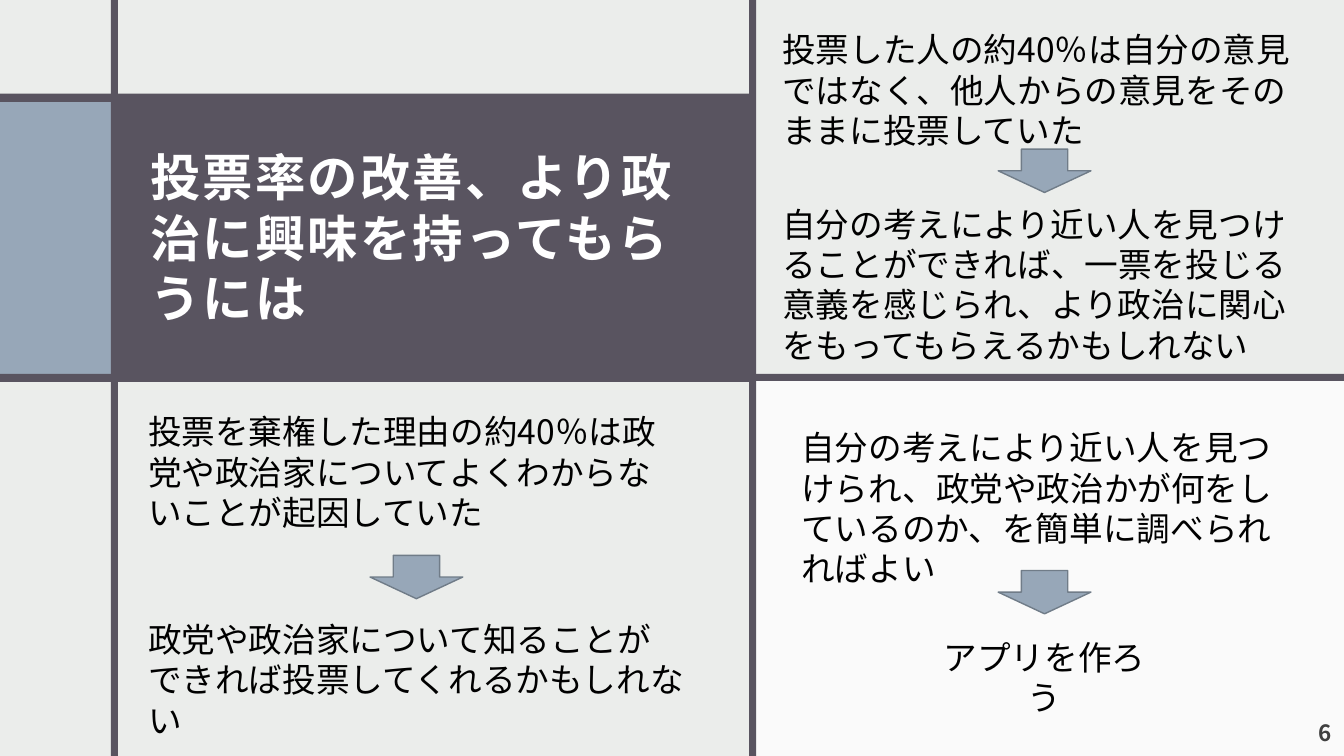
from pptx import Presentation
from pptx.dml.color import RGBColor
from pptx.enum.shapes import MSO_SHAPE as Shape
from pptx.enum.text import MSO_ANCHOR as Anchor, PP_ALIGN as Align
from pptx.util import Inches, Pt
from lxml.etree import SubElement
from pptx.oxml.ns import qn

FONT = "Noto Sans CJK JP"
WIDTH, HEIGHT = 13.33, 7.5
PLUM, STEEL, PALE, EDGE = "595460", "97A7B8", "FAFAFA", "707C88"
BAR = 0.07


def color(value):
    """Turn a hex string into a colour."""
    return RGBColor.from_string(value)


def add_block(page, left, top, width, height, fill, kind=Shape.RECTANGLE, line=None):
    """Add a filled shape, outlined when a line colour is given."""
    block = page.shapes.add_shape(
        kind, Inches(left), Inches(top), Inches(width), Inches(height))
    block.shadow.inherit = False
    block.fill.solid()
    block.fill.fore_color.rgb = color(fill)
    if line:
        block.line.color.rgb = color(line)
        block.line.width = Pt(1)
    else:
        block.line.fill.background()


def add_arrow(page, left, top):
    """Add a small arrow that points down."""
    add_block(page, left, top, 0.92, 0.43, STEEL, Shape.DOWN_ARROW, EDGE)


def add_text(page, text, left, top, width, height, size=24, fill="000000",
             bold=False, align=Align.LEFT, anchor=Anchor.TOP, inset=None, tracking=0):
    """Add a wrapped text box with one formatted paragraph."""
    box = page.shapes.add_textbox(
        Inches(left), Inches(top), Inches(width), Inches(height))
    frame = box.text_frame
    frame.word_wrap = True
    frame.vertical_anchor = anchor
    if inset:
        frame.margin_left = frame.margin_right = frame.margin_top = Inches(inset)
        frame.margin_bottom = Inches(0.1)
    para = frame.paragraphs[0]
    para.alignment = align
    para.line_spacing = Pt(size * 1.2)
    span = para.add_run()
    span.text = text
    font = span.font
    font.size, font.bold, font.name = Pt(size), bold, FONT
    font.color.rgb = color(fill)
    properties = span._r.get_or_add_rPr()
    SubElement(properties, qn("a:ea")).set("typeface", FONT)
    if tracking:
        properties.set("spc", str(int(tracking * 100)))


def add_panels(page):
    """Add the coloured panels and the bars between them."""
    add_block(page, 0, 0.95, 7.47, 2.84, PLUM)
    add_block(page, 0, 1.01, 1.17, 2.7, STEEL)
    add_block(page, 0, 0.93, 7.47, 0.08, PLUM)
    add_block(page, 7.5, 3.76, 5.83, 3.74, PALE)
    add_block(page, 0, 3.71, WIDTH, BAR, PLUM)
    for left in (1.1, 7.43):
        add_block(page, left, 0, BAR, HEIGHT, PLUM)


def main():
    """Build the slide and save it."""
    deck = Presentation()
    deck.slide_width, deck.slide_height = Inches(WIDTH), Inches(HEIGHT)
    page = deck.slides.add_slide(deck.slide_layouts[6])
    page.background.fill.solid()
    page.background.fill.fore_color.rgb = color("EBEDEB")
    add_panels(page)

    add_text(page, "投票率の改善、より政治に興味を持ってもらうには", 1.37, 1.21, 5.86, 2.26,
             size=36, fill="FFFFFF", bold=True, anchor=Anchor.MIDDLE,
             inset=0.12, tracking=1.5)

    add_text(page, "投票を棄権した理由の約40％は政党や政治家についてよくわからないことが起因していた",
             1.37, 4.03, 5.51, 1.31)
    add_arrow(page, 3.67, 5.51)
    add_text(page, "政党や政治家について知ることができれば投票してくれるかもしれない",
             1.37, 6.09, 5.51, 0.91)

    add_text(page, "投票した人の約40％は自分の意見ではなく、他人からの意見をそのままに投票していた",
             7.66, 0.24, 5.51, 1.31)
    add_arrow(page, 9.9, 1.48)
    add_text(page, "自分の考えにより近い人を見つけることができれば、一票を投じる意義を感じられ、"
             "より政治に関心をもってもらえるかもしれない", 7.66, 1.97, 5.51, 1.72)

    add_text(page, "自分の考えにより近い人を見つけられ、政党や政治かが何をしているのか、"
             "を簡単に調べられればよい", 7.85, 4.19, 5.13, 1.31)
    add_arrow(page, 9.9, 5.66)
    add_text(page, "アプリを作ろう", 9.24, 6.27, 2.24, 0.5, align=Align.CENTER)

    add_text(page, "6", 12.26, 7, 1.07, 0.5, size=16, fill="404040", bold=True,
             align=Align.RIGHT, anchor=Anchor.BOTTOM, inset=0.12, tracking=1.5)

    deck.save("out.pptx")


if __name__ == "__main__":
    main()
